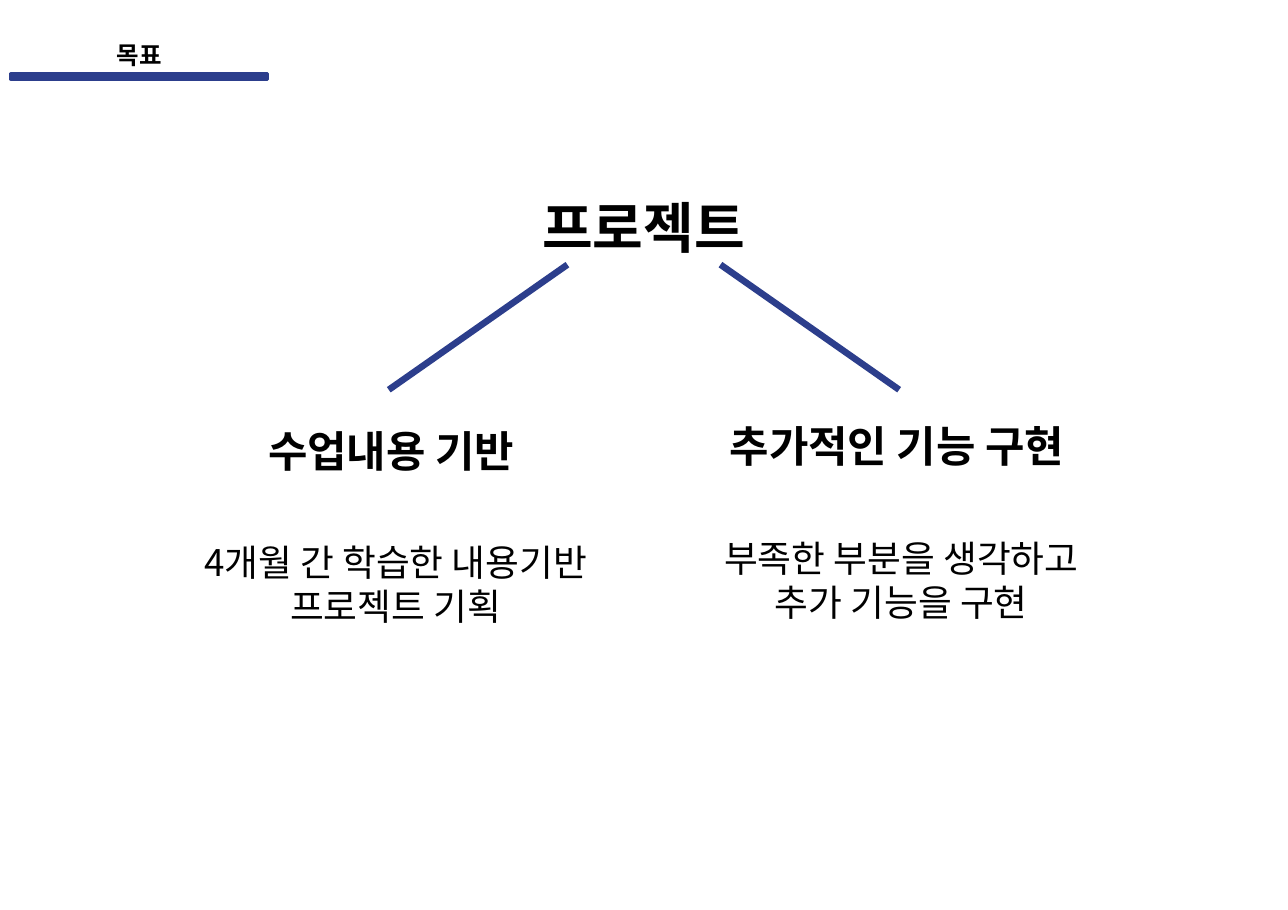
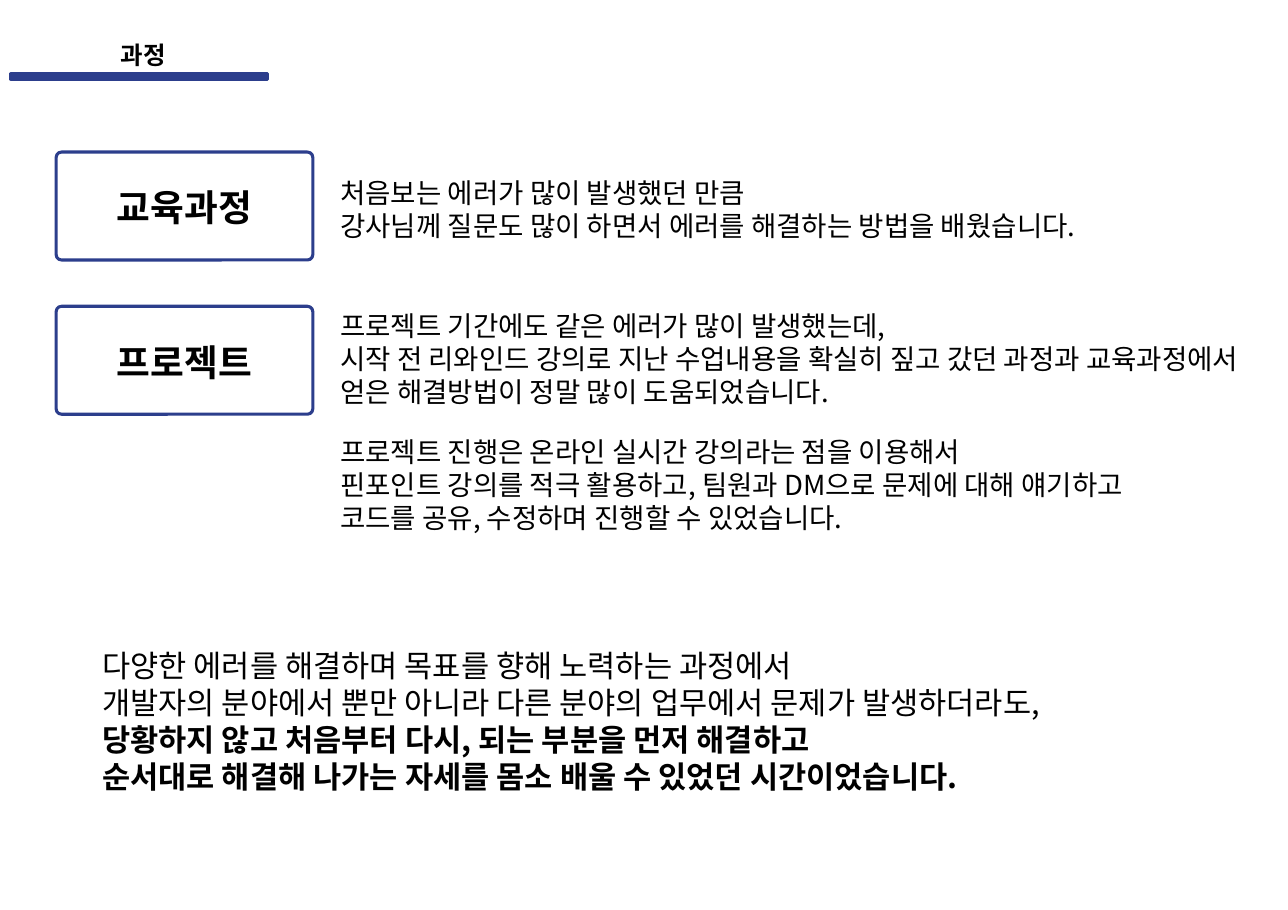
from lxml import etree
from pptx import Presentation
from pptx import util as u
from pptx.dml.color import RGBColor
from pptx.enum import shapes, text
from pptx.oxml.ns import qn

PX = 9144  # 100 px to the inch
FONT = "Noto Sans CJK KR"
COLORS = {"navy": "2C3E8C", "ink": "000000"}
LEFT, CENTER = text.PP_ALIGN.LEFT, text.PP_ALIGN.CENTER
TOP, MIDDLE = text.MSO_ANCHOR.TOP, text.MSO_ANCHOR.MIDDLE


def write(shape, lines, size, bold_lines=(), align=CENTER, anchor=TOP):
    """Fill a shape with one paragraph per line, at 1.2 line spacing."""
    frame = shape.text_frame
    frame.text = "\n".join(lines)
    frame.word_wrap = True
    frame.auto_size = text.MSO_AUTO_SIZE.NONE
    frame.vertical_anchor = anchor
    frame.margin_left = frame.margin_right = 10 * PX
    frame.margin_top = u.Pt(3.6 + 0.06 * size)
    frame.margin_bottom = 5 * PX
    for index, para in enumerate(frame.paragraphs):
        para.alignment = align
        para.line_spacing = u.Pt(1.2 * size)
        for span in para.runs:
            span.font.name = FONT
            span.font.size = u.Pt(size)
            span.font.bold = index in bold_lines
            span.font.color.rgb = RGBColor.from_string(COLORS["ink"])
            east_asian = etree.SubElement(span.font._element, qn("a:ea"))
            east_asian.set("typeface", FONT)


def add_bar(page, left, top, width, height, kind=shapes.MSO_SHAPE.RECTANGLE):
    """Add a navy shape without shadow or outline."""
    bar = page.shapes.add_shape(kind, left * PX, top * PX, width * PX, height * PX)
    bar.shadow.inherit = False
    bar.fill.solid()
    bar.fill.fore_color.rgb = RGBColor.from_string(COLORS["navy"])
    bar.line.fill.background()
    return bar


deck = Presentation()
deck.slide_width, deck.slide_height = 1169 * PX, 826 * PX

# Shared header: section title above a navy band
pages = []
for heading, left, width in [("목표", 10, 233), ("과정", 1, 258)]:
    page = deck.slides.add_slide(deck.slide_layouts[5])
    title = page.shapes.title
    title.left, title.top = left * PX, 30 * PX
    title.width, title.height = width * PX, 37 * PX
    write(title, [heading], 16, bold_lines=[0])
    band = add_bar(page, 10, 67, 233, 5)
    band.line.color.rgb = RGBColor.from_string(COLORS["navy"])
    band.line.width = u.Pt(2)
    pages.append(page)
goal_page, process_page = pages

# Goal: one project with two branches
for left, angle in [(335, 325), (636, 35)]:
    add_bar(goal_page, left, 294, 198, 6).rotation = angle

goal_texts = [
    (467, 168, 234, 70, 36, [0], ["프로젝트"]),
    (159, 378, 392, 57, 28, [0], ["수업내용 기반"]),
    (618, 374, 392, 57, 28, [0], ["추가적인 기능 구현"]),
    (167, 483, 384, 90, 24, [], ["4개월 간 학습한 내용기반", "프로젝트 기획"]),
    (622, 479, 392, 90, 24, [], ["부족한 부분을 생각하고", "추가 기능을 구현"]),
]
for left, top, width, height, size, bold_lines, lines in goal_texts:
    box = goal_page.shapes.add_textbox(left * PX, top * PX, width * PX, height * PX)
    write(box, lines, size, bold_lines)

# Process: two labelled stages, their descriptions and a conclusion
for index, label in enumerate(["교육과정", "프로젝트"]):
    stage = add_bar(process_page, 51, 138 + 140 * index, 233, 98,
                    shapes.MSO_SHAPE.ROUNDED_RECTANGLE)
    stage.adjustments[0] = 0.05
    stage.fill.background()
    stage.line.color.rgb = RGBColor.from_string(COLORS["navy"])
    stage.line.width = u.Pt(2)
    write(stage, [label], 24, bold_lines=[0], anchor=MIDDLE)

process_texts = [
    (299, 153, 848, 70, 18, [], [
        "처음보는 에러가 많이 발생했던 만큼",
        "강사님께 질문도 많이 하면서 에러를 해결하는 방법을 배웠습니다.",
    ]),
    (299, 274, 866, 100, 18, [], [
        "프로젝트 기간에도 같은 에러가 많이 발생했는데,",
        "시작 전 리와인드 강의로 지난 수업내용을 확실히 짚고 갔던 과정과 "
        "교육과정에서 얻은 해결방법이 정말 많이 도움되었습니다.",
    ]),
    (299, 388, 784, 100, 18, [], [
        "프로젝트 진행은 온라인 실시간 강의라는 점을 이용해서",
        "핀포인트 강의를 적극 활용하고, 팀원과 DM으로 문제에 대해 얘기하고 "
        "코드를 공유, 수정하며 진행할 수 있었습니다.",
    ]),
    (83, 581, 1018, 144, 20, [2, 3], [
        "다양한 에러를 해결하며 목표를 향해 노력하는 과정에서",
        "개발자의 분야에서 뿐만 아니라 다른 분야의 업무에서 문제가 발생하더라도,",
        "당황하지 않고 처음부터 다시, 되는 부분을 먼저 해결하고",
        "순서대로 해결해 나가는 자세를 몸소 배울 수 있었던 시간이었습니다.",
    ]),
]
for left, top, width, height, size, bold_lines, lines in process_texts:
    box = process_page.shapes.add_textbox(left * PX, top * PX, width * PX, height * PX)
    write(box, lines, size, bold_lines, align=LEFT)

deck.save("out.pptx")
